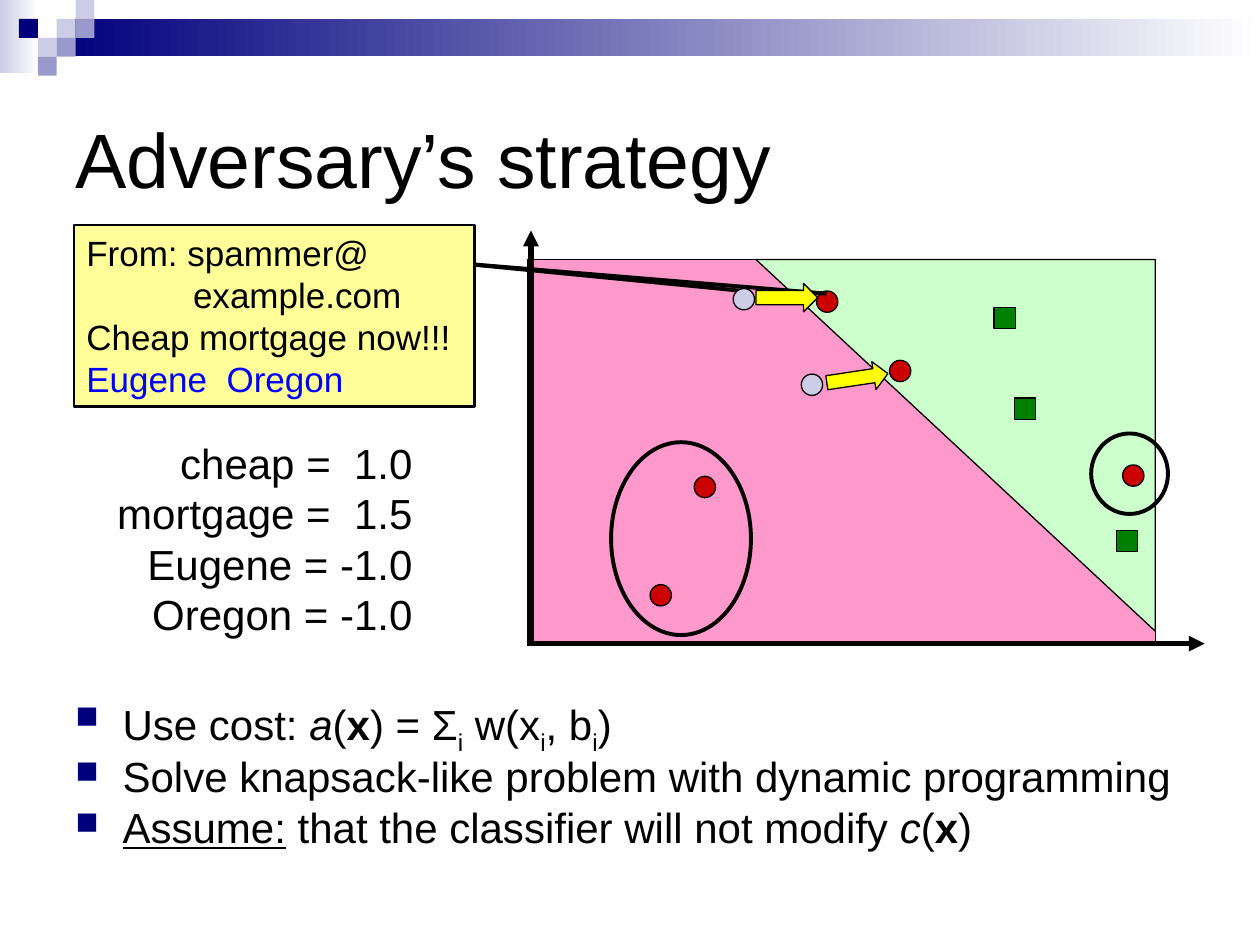
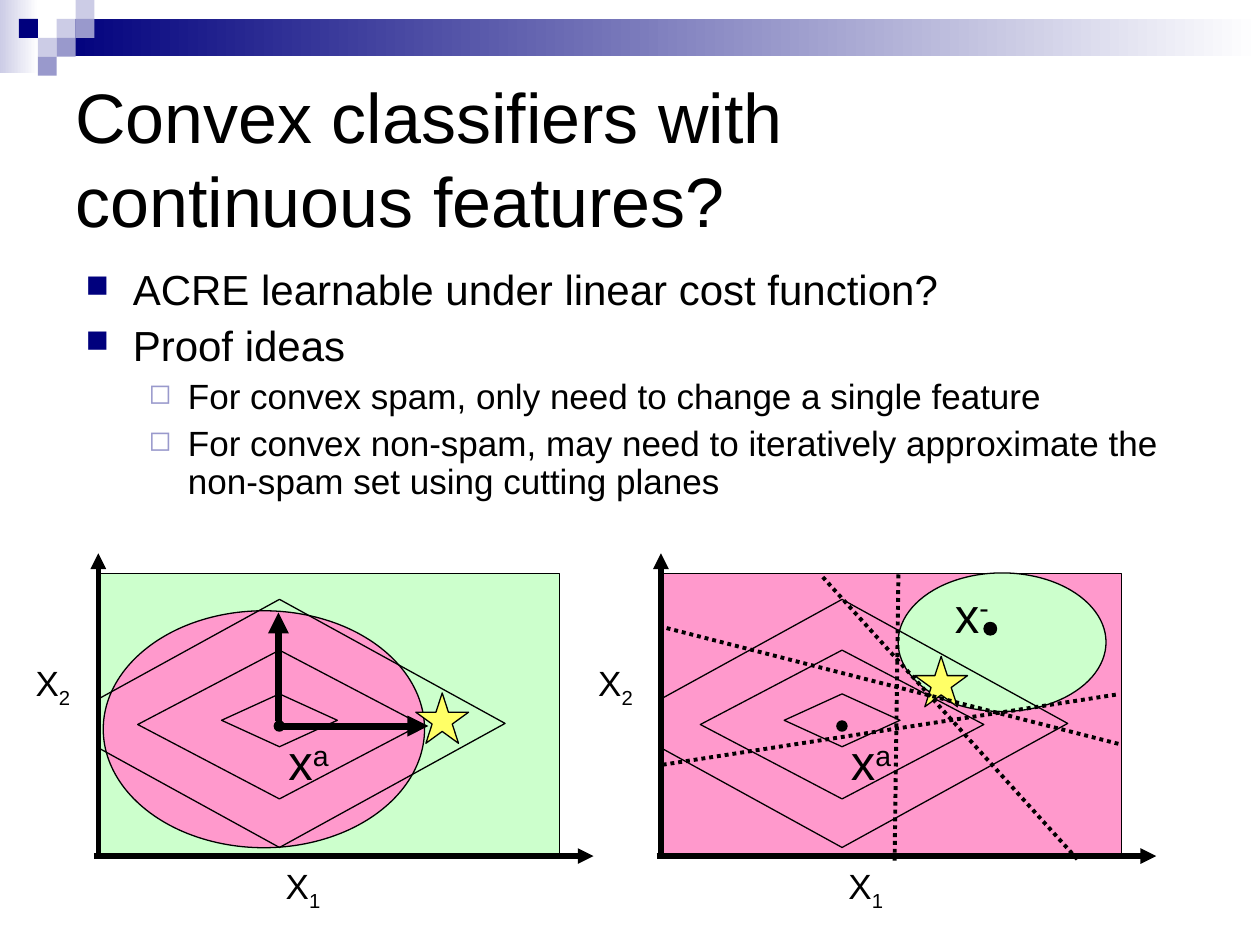
"""Build two slides on adversarial classification: the spammer's strategy and convex classifiers."""
from dataclasses import dataclass

from lxml import etree
from pptx import Presentation
from pptx import util as u
from pptx.dml.color import RGBColor
from pptx.enum import dml, shapes, text
from pptx.oxml.ns import qn

KIND = shapes.MSO_SHAPE
ALIGN = text.PP_ALIGN


@dataclass(frozen=True)
class Theme:
    """Colours and type sizes of the deck."""
    font: str = "Arial"
    ink: str = "000000"
    paper: str = "FFFFFF"
    navy: str = "00007D"
    lavender: str = "CCCCE6"
    violet: str = "9999CC"
    spam: str = "FF99CC"
    ham: str = "CCFFCC"
    spam_dot: str = "CC0000"
    ham_dot: str = "008000"
    note: str = "FFFF99"
    arrow: str = "FFFF00"
    star: str = "FFFF66"
    added_words: str = "0000FF"
    title: int = 44
    long_title: int = 40
    symbol: int = 28
    body: int = 24
    small: int = 20
    thin: float = 0.75
    medium: float = 2.25
    thick: float = 3


THEME = Theme()
SCRIPTS = {"sub": "-25000", "sup": "30000"}
WIDE_GAP = (" ", "wide")
BULLETS = (
    dict(size=THEME.body, bullet=("■", THEME.navy, 75), left=27, hanging=27, before=6),
    dict(size=THEME.small, bullet=("◻", THEME.violet, 80), left=58.5, hanging=22.5, before=5),
)


def add_child(parent, tag, **attributes):
    """Append a DrawingML element to a parent element."""
    child = etree.SubElement(parent, qn(f"a:{tag}"))
    for name, value in attributes.items():
        child.set(name, str(value))
    return child


def add_box(page, kind, area, fill=None, line=THEME.ink, weight=THEME.thin, turn=0):
    """Draw a preset shape; a pair of fill colours makes a horizontal gradient."""
    box = page.shapes.add_shape(kind, *map(u.Pt, area))
    box.shadow.inherit = False
    box.rotation = turn
    if isinstance(fill, tuple):
        box.fill.gradient()
        box.fill.gradient_angle = 0
        for stop, color, position in zip(box.fill.gradient_stops, fill, (0, 1)):
            stop.color.rgb = RGBColor.from_string(color)
            stop.position = position
    elif fill:
        box.fill.solid()
        box.fill.fore_color.rgb = RGBColor.from_string(fill)
    else:
        box.fill.background()
    if line:
        box.line.color.rgb = RGBColor.from_string(line)
        box.line.width = u.Pt(weight)
    else:
        box.line.fill.background()
    return box


def add_line(page, start, end, weight=THEME.medium, arrow=False, dotted=False):
    """Draw a straight black line, with an arrowhead or dots if asked."""
    line = page.shapes.add_connector(shapes.MSO_CONNECTOR.STRAIGHT, *map(u.Pt, start + end))
    line.line.color.rgb = RGBColor.from_string(THEME.ink)
    line.line.width = u.Pt(weight)
    if dotted:
        line.line.dash_style = dml.MSO_LINE.ROUND_DOT
    properties = line._element.spPr
    if arrow:
        add_child(properties.find(qn("a:ln")), "tailEnd", type="triangle")
    add_child(properties, "effectLst")


def add_frame(page, area, anchor=text.MSO_ANCHOR.TOP):
    """Add a text box and return its text frame."""
    frame = page.shapes.add_textbox(*map(u.Pt, area)).text_frame
    frame.word_wrap = True
    frame.vertical_anchor = anchor
    return frame


def write(frame, spans, size=THEME.body, color=THEME.ink, align=ALIGN.LEFT, bullet=None,
          left=0, hanging=0, before=0, spacing=None):
    """Add a paragraph made of a string or of (text, style) spans."""
    para = frame.paragraphs[0]
    if para.runs:
        para = frame.add_paragraph()
        para.space_before = u.Pt(before)
    para.alignment = align
    if spacing:
        para.line_spacing = spacing
    properties = para._p.get_or_add_pPr()
    properties.set("marL", str(u.Pt(left)))
    properties.set("indent", str(-u.Pt(hanging)))
    if bullet:
        mark, mark_color, percent = bullet
        add_child(add_child(properties, "buClr"), "srgbClr", val=mark_color)
        add_child(properties, "buSzPct", val=percent * 1000)
        add_child(properties, "buChar", char=mark)
    for words, style in [(spans, "")] if isinstance(spans, str) else spans:
        for number, row in enumerate(words.split("\n")):
            if number:
                para.add_line_break()
            span = para.add_run()
            span.text = row
            font = span.font
            font.name, font.size = THEME.font, u.Pt(size)
            font.color.rgb = RGBColor.from_string(color)
            font.bold, font.italic, font.underline = style == "b", style == "i", style == "u"
            if style in SCRIPTS:
                span._r.get_or_add_rPr().set("baseline", SCRIPTS[style])
            elif style == "wide":
                span._r.get_or_add_rPr().set("spc", str(round(size * 27.8)))


def add_bullets(page, area, items, spacing):
    """Write bulleted (level, spans) items in one box."""
    frame = add_frame(page, area)
    for level, spans in items:
        write(frame, spans, spacing=spacing, **BULLETS[level])


def add_page(deck, title, size=THEME.title):
    """Add a blank slide with the corner tiles, the gradient band and a title."""
    page = deck.slides.add_slide(deck.slide_layouts[6])
    tile = 10.8
    add_box(page, KIND.RECTANGLE, (0, 0, 22, 42), (THEME.lavender, THEME.paper), None)
    add_box(page, KIND.RECTANGLE, (3 * tile, tile, 720 - 3 * tile, 21.2),
            (THEME.navy, THEME.paper), None)
    tiles = {
        THEME.lavender: [(3, 1), (4, 0), (2, 2)],
        THEME.violet: [(4, 1), (3, 2), (2, 3)],
        THEME.navy: [(1, 1)],
    }
    for color, cells in tiles.items():
        for column, row in cells:
            add_box(page, KIND.RECTANGLE, (column * tile, row * tile, tile, tile), color, None)
    write(add_frame(page, (36, 36, 648, 108), text.MSO_ANCHOR.MIDDLE), title, size=size)
    return page


def add_axes(page, left, bottom, width, height):
    """Draw the two arrows of a coordinate system."""
    add_line(page, (left, bottom), (left, bottom - height), THEME.thick, arrow=True)
    add_line(page, (left - 2.5, bottom), (left + width, bottom), THEME.thick, arrow=True)


def add_dots(page, kind, color, places, size=12.2):
    """Draw equal markers at the given top left corners."""
    for place in places:
        add_box(page, kind, (*place, size, size), color)


def add_symbol(page, place, letter, mark, style, size):
    """Write a letter with a subscript or superscript."""
    write(add_frame(page, (*place, 48, 40)), [(letter, ""), (mark, style)], size=size)


def add_cost_plot(page, left, background, region, region_area):
    """Draw a feature space with a convex region and diamonds of equal cost around x^a."""
    center = left + 103.5

    def add_diamond(middle, width, height):
        add_box(page, KIND.DIAMOND, (center - width / 2, middle - height / 2, width, height))

    add_box(page, KIND.RECTANGLE, (left - 0.6, 327.6, 264, 162), background)
    add_box(page, KIND.OVAL, region_area, region)
    add_diamond(413.4, 257.8, 141.8)
    add_box(page, KIND.RECTANGLE, (left - 27, 340, 25.6, 148), THEME.paper, None)
    add_axes(page, left, 489.2, 283, 173)
    add_symbol(page, (left + 100, 490.3), "X", "1", "sub", THEME.small)
    add_symbol(page, (left - 43, 374.4), "X", "2", "sub", THEME.small)
    add_diamond(411.6, 66.2, 30.2)
    add_diamond(414, 162, 85)
    add_symbol(page, (left + 101.5, 414.7), "x", "a", "sup", THEME.symbol)
    add_dots(page, KIND.OVAL, THEME.ink, [(left + 100.5, 412)], 5.8)


def add_star(page, place):
    """Mark the cheapest instance with a star."""
    add_box(page, KIND.STAR_5_POINT, (*place, 30.2, 28.8), THEME.star)


def build_strategy(deck):
    """Build the slide on the adversary's strategy."""
    page = add_page(deck, "Adversary’s strategy")
    add_box(page, KIND.RECTANGLE, (301.7, 148.3, 358.6, 220.3), THEME.spam)
    add_box(page, KIND.RIGHT_TRIANGLE, (432, 148.3, 228.2, 212.4), THEME.ham, turn=180)
    add_axes(page, 303.4, 367.8, 385, 236)

    weights = add_frame(page, (59.8, 246.4, 183, 122.4))
    for word, weight in (("cheap", "1.0"), ("mortgage", "1.5")):
        write(weights, [(f"{word} =", ""), WIDE_GAP, (weight, "")], align=ALIGN.RIGHT)
    for word in ("Eugene", "Oregon"):
        write(weights, f"{word} = -1.0", align=ALIGN.RIGHT)

    add_line(page, (270, 151.2), (424.8, 166.3))
    area = (42.2, 128.7, 229, 103.7)
    mail = add_box(page, KIND.RECTANGLE, area, THEME.note, weight=1.5).text_frame
    mail.word_wrap = True
    mail.vertical_anchor = text.MSO_ANCHOR.TOP
    write(mail, "From: spammer@", size=THEME.small)
    write(mail, "example.com", size=THEME.small, left=61)
    write(mail, "Cheap mortgage now!!!", size=THEME.small)
    write(mail, [("Eugene", ""), WIDE_GAP, ("Oregon", "")], size=THEME.small,
          color=THEME.added_words)

    add_bullets(page, (36, 398.9, 648, 95), [
        (0, [("Use cost: ", ""), ("a", "i"), ("(", ""), ("x", "b"), (") = Σ", ""), ("i", "sub"),
             (" w(x", ""), ("i", "sub"), (", b", ""), ("i", "sub"), (")", "")]),
        (0, "Solve knapsack-like problem with dynamic programming"),
        (0, [("Assume:", "u"), (" that the classifier will not modify ", ""), ("c", "i"),
             ("(", ""), ("x", "b"), (")", "")]),
    ], spacing=0.8)

    add_dots(page, KIND.OVAL, THEME.spam_dot, [
        (466.6, 166.3), (508.3, 205.9), (396.7, 272.2), (371.5, 334.1), (641.5, 265.7)])
    add_dots(page, KIND.OVAL, THEME.lavender, [(419, 164.9), (457.9, 213.8)])
    add_dots(page, KIND.RECTANGLE, THEME.ham_dot, [(568, 175.7), (579.6, 227.5), (637.9, 303.1)])
    add_line(page, (271.4, 151.2), (472.3, 167.8))
    for left, top, turn in ((432, 162, 0), (472.3, 208, 351.5)):
        add_box(page, KIND.RIGHT_ARROW, (left, top, 35.3, 16.2), THEME.arrow, turn=turn)
    for ring in ((623.5, 247.7, 43.9, 46), (349.2, 252.7, 79.9, 110.2)):
        add_box(page, KIND.OVAL, ring, weight=THEME.medium)


def build_convex(deck):
    """Build the slide on convex classifiers."""
    page = add_page(deck, "Convex classifiers with\ncontinuous features?", THEME.long_title)
    add_bullets(page, (41.8, 150.5, 648, 173.5), [
        (0, "ACRE learnable under linear cost function?"),
        (0, "Proof ideas"),
        (1, "For convex spam, only need to change a single feature"),
        (1, "For convex non-spam, may need to iteratively approximate the "
            "non-spam set using cutting planes"),
    ], spacing=0.9)

    add_cost_plot(page, 377.7, THEME.spam, THEME.ham, (513.2, 327.4, 118.8, 79.2))
    add_star(page, (522.7, 375.1))
    cutting_planes = (
        ((513.4, 328.3), (511.2, 491.8)),
        ((470.2, 329.8), (615.6, 491)),
        ((376.6, 357.8), (640.8, 425.5)),
        ((378.7, 437), (639.4, 396.7)),
    )
    for start, end in cutting_planes:
        add_line(page, start, end, dotted=True)
    add_symbol(page, (538.6, 330.5), "x", "-", "sup", THEME.symbol)
    add_dots(page, KIND.OVAL, THEME.ink, [(562.3, 355.7)], 7.2)

    add_cost_plot(page, 56.2, THEME.ham, THEME.spam, (59, 349, 183.6, 135.4))
    add_line(page, (159.1, 411.8), (159.1, 350), 4, arrow=True)
    add_line(page, (160.6, 414.9), (244.8, 414.9), 4, arrow=True)
    add_star(page, (237.6, 396))


def main():
    """Build and save the deck."""
    deck = Presentation()
    deck.slide_width, deck.slide_height = u.Pt(720), u.Pt(540)
    build_strategy(deck)
    build_convex(deck)
    deck.save("out.pptx")


if __name__ == "__main__":
    main()
